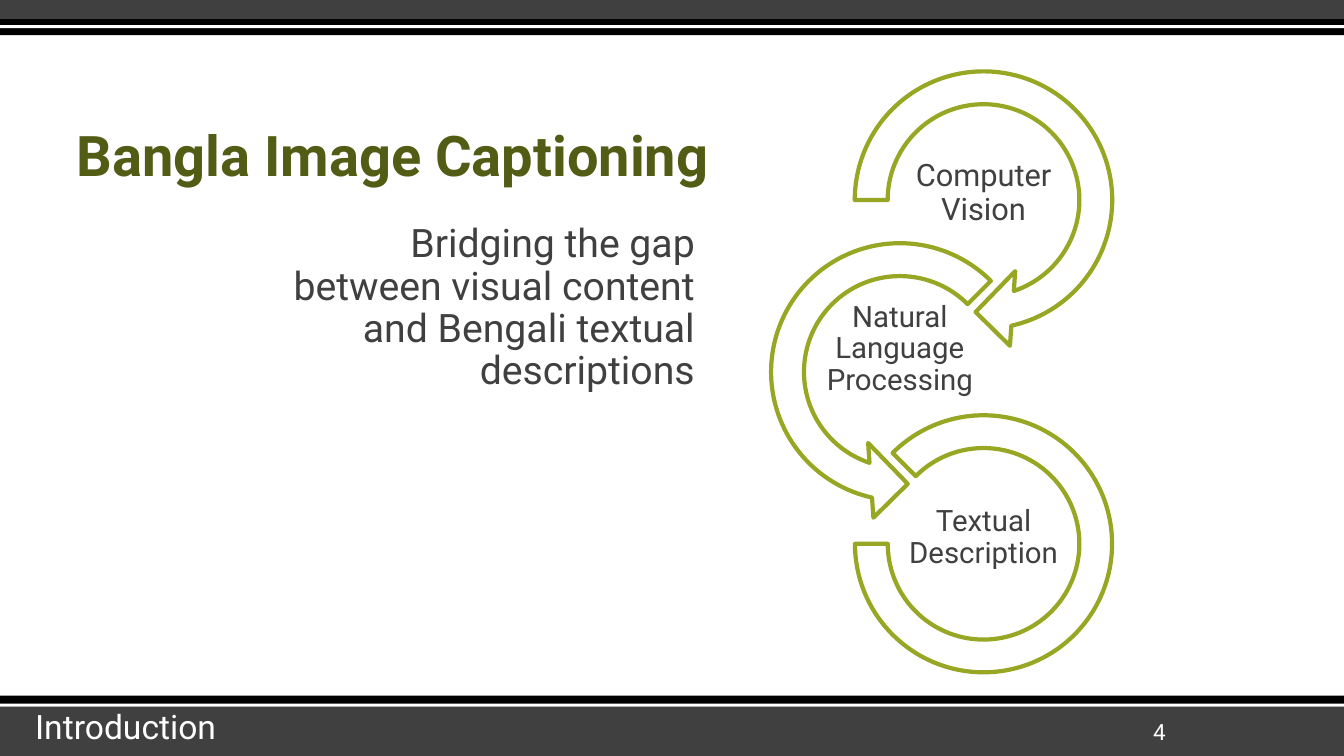
"""Build the Bangla Image Captioning introduction slide."""
from pptx import Presentation
from pptx.dml.color import RGBColor
from pptx.enum.shapes import MSO_SHAPE
from pptx.enum.text import MSO_ANCHOR, PP_ALIGN
from pptx.util import Inches, Pt

RECT = MSO_SHAPE.RECTANGLE
TOP, MIDDLE, BOTTOM = MSO_ANCHOR.TOP, MSO_ANCHOR.MIDDLE, MSO_ANCHOR.BOTTOM
LEFT, CENTER, RIGHT = PP_ALIGN.LEFT, PP_ALIGN.CENTER, PP_ALIGN.RIGHT

WIDTH, HEIGHT = 13.33, 7.5
FONT = "Roboto"
GREY, BLACK, WHITE = "404040", "000000", "FFFFFF"
OLIVE, GREEN = "535C14", "97A623"

TITLE = "Bangla Image Captioning"
BODY = "Bridging the gap between visual content and Bengali textual descriptions"
FOOTER, PAGE = "Introduction", "4"

BANDS = [
    (7, 0.5, GREY), (6.9, 0.11, BLACK), (6.98, 0.03, WHITE),
    (0, 0.19, GREY), (0.19, 0.16, BLACK), (0.25, 0.03, WHITE),
]

RING_X, RING_Y = (9.755, 8.925), 1.985
RING_STEP = 1.705
RINGS = [
    ("Computer Vision", 22, MSO_SHAPE.CIRCULAR_ARROW, 2.97,
     (0.1098, 11.423, 45, 108, 0.125), (1.65, 0.82), -0.065),
    ("Natural Language Processing", 21, MSO_SHAPE.LEFT_CIRCULAR_ARROW, 2.97,
     (0.1098, 11.423, 63, 189, 0.125), (2.19, 1.4), -0.225),
    ("Textual Description", 21, MSO_SHAPE.BLOCK_ARC, 2.55,
     (135, 108, 0.1274), (1.65, 0.82), -0.055),
]


def rgb(value):
    """Turn a hex string into a colour."""
    return RGBColor.from_string(value)


def place(s, x, y, w, h):
    """Set the position and size of a shape in inches."""
    s.left, s.top, s.width, s.height = map(Inches, (x, y, w, h))


def add_shape(slide, kind, box, fill, line=None):
    """Add a flat preset shape."""
    s = slide.shapes.add_shape(kind, *map(Inches, box))
    s.shadow.inherit = False
    s.fill.solid()
    s.fill.fore_color.rgb = rgb(fill)
    if line:
        s.line.color.rgb = rgb(line)
        s.line.width = Pt(3)
    else:
        s.line.fill.background()
    return s


def write(s, text, size, color, align=LEFT, anchor=TOP, bold=False,
          spacing=0.9, inset=None):
    """Write one formatted paragraph into a shape."""
    tf = s.text_frame
    tf.word_wrap = True
    tf.vertical_anchor = anchor
    if inset is not None:
        tf.margin_left = tf.margin_right = Inches(inset)
        tf.margin_top = tf.margin_bottom = Inches(inset)
    p = tf.paragraphs[0]
    p.alignment, p.line_spacing = align, spacing
    p.space_before = Pt(0)
    r = p.add_run()
    r.text = text
    r.font.name, r.font.size, r.font.bold = FONT, Pt(size), bold
    r.font.color.rgb = rgb(color)
    return p


def add_text(slide, box, *args, **kwargs):
    """Add a text box holding one paragraph."""
    s = slide.shapes.add_textbox(*map(Inches, box))
    write(s, *args, **kwargs)


def add_ring(slide, row, ring):
    """Add one ring of the chain with its label."""
    label, size, kind, diameter, adjustments, (w, h), shift = ring
    x, y = RING_X[row % 2], RING_Y + row * RING_STEP
    box = (x - diameter / 2, y - diameter / 2, diameter, diameter)
    s = add_shape(slide, kind, box, WHITE, GREEN)
    for i, value in enumerate(adjustments):
        s.adjustments[i] = value
    add_text(slide, (x - w / 2, y + shift - h / 2, w, h), label, size, GREY,
             CENTER, MIDDLE, inset=0.01)


def main():
    """Assemble and save the slide."""
    prs = Presentation()
    prs.slide_width, prs.slide_height = Inches(WIDTH), Inches(HEIGHT)
    slide = prs.slides.add_slide(prs.slide_layouts[1])

    for y, h, color in BANDS:
        add_shape(slide, RECT, (0, y, WIDTH, h), color)

    title, body = slide.placeholders
    place(title, 0.66, 0.75, 6.67, 1.17)
    write(title, TITLE, 40, OLIVE, anchor=BOTTOM, bold=True)
    place(body, 2.41, 2.17, 4.58, 2.33)
    p = write(body, BODY, 28, GREY, RIGHT)
    pPr = p._p.get_or_add_pPr()
    pPr.set("marL", "0")
    pPr.set("indent", "0")
    pPr.append(pPr.makeelement(
        "{http://schemas.openxmlformats.org/drawingml/2006/main}buNone", {}))

    for row, ring in enumerate(RINGS):
        add_ring(slide, row, ring)

    add_text(slide, (0.25, 7, 3.92, 0.46), FOOTER, 24, WHITE)
    add_text(slide, (10.64, 7.13, 1.02, 0.25), PAGE, 16, WHITE, RIGHT, MIDDLE,
             spacing=1.0)
    prs.save("out.pptx")


if __name__ == "__main__":
    main()
